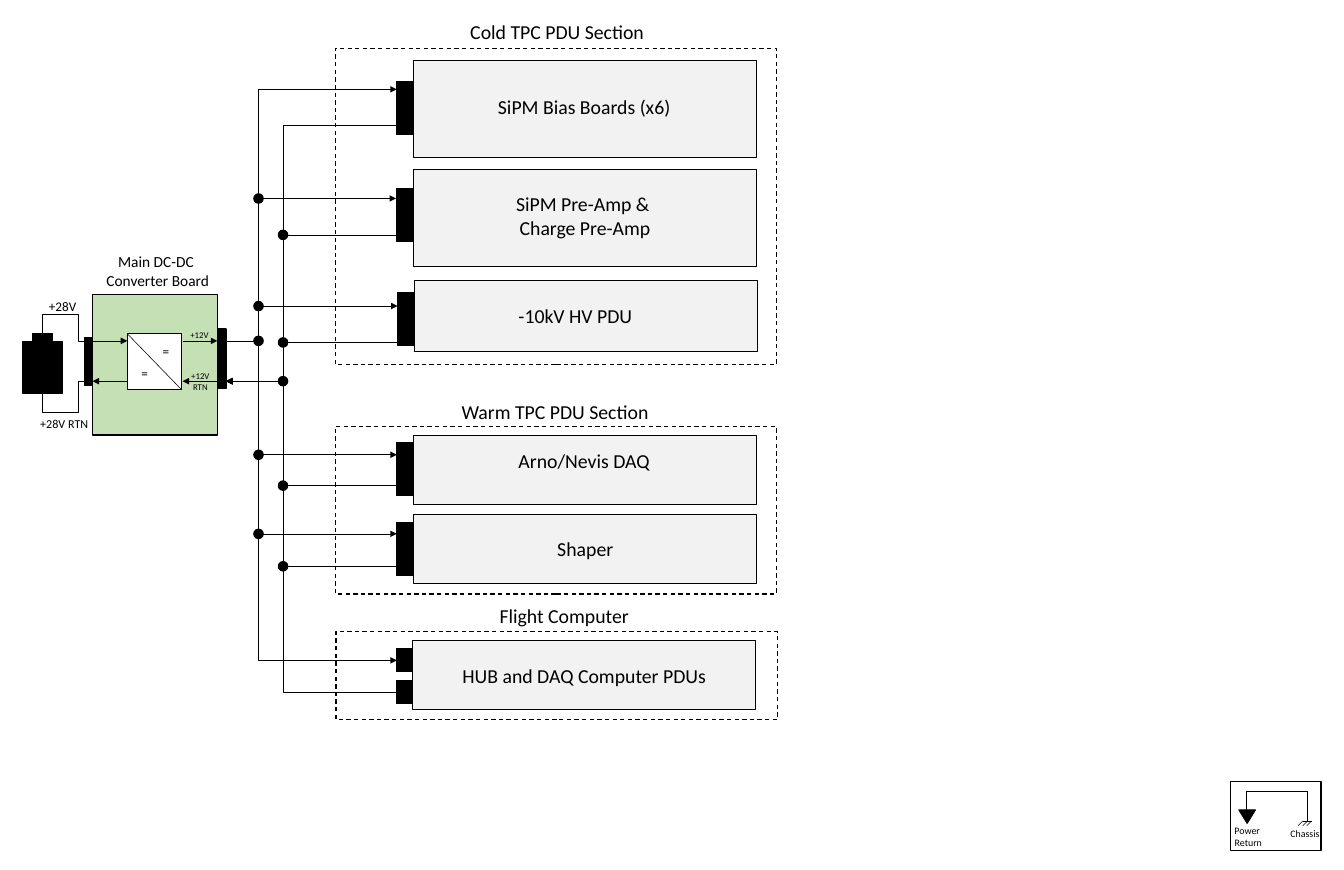
from dataclasses import dataclass
from typing import NamedTuple

from lxml import etree
from pptx import Presentation
from pptx import util as u
from pptx.dml.color import RGBColor
from pptx.enum import dml, shapes, text
from pptx.oxml.ns import qn

PX = 9144  # EMU per px, 100 px to the inch
RECT = shapes.MSO_SHAPE.RECTANGLE
SUPPLY_BUS, RETURN_BUS = 327, 358
SUPPLY_Y, RETURN_Y = 431, 482
OUTPUT_X = 286
DOT = 12


@dataclass(frozen=True)
class Theme:
    font: str = "Calibri"
    ink: str = "000000"
    block: str = "F2F2F2"
    board: str = "C5E0B4"
    paper: str = "FFFFFF"
    heading: int = 18
    title: int = 14
    terminal: int = 12
    terminal_return: int = 11
    legend: int = 9
    rail: int = 8
    outline: float = 1
    wire: float = 0.5


class Point(NamedTuple):
    x: int
    y: int


class Box(NamedTuple):
    left: int
    top: int
    width: int
    height: int


class Label(NamedTuple):
    words: str
    box: Box
    size: int
    centred: bool = False
    wrap: bool = False


class Section(NamedTuple):
    frame: Box
    heading: Label


class Load(NamedTuple):
    block: Box
    plugs: tuple[Box, ...]
    supply_y: int
    return_y: int
    label: Label
    junction: bool = True


THEME = Theme()

SECTIONS = (
    Section(Box(424, 61, 558, 400),
            Label("Cold TPC PDU Section", Box(585, 20, 243, 40), THEME.heading)),
    Section(Box(424, 539, 558, 212),
            Label("Warm TPC PDU Section", Box(574, 500, 265, 40), THEME.heading, wrap=True)),
    Section(Box(425, 798, 558, 112),
            Label("Flight Computer", Box(622, 758, 191, 40), THEME.heading, wrap=True)),
)

LOADS = (
    Load(Box(523, 76, 434, 123), (Box(502, 103, 21, 67),), 113, 158,
         Label("SiPM Bias Boards (x6)", Box(620, 115, 241, 40), THEME.heading), junction=False),
    Load(Box(523, 214, 434, 123), (Box(501, 238, 21, 67),), 251, 297,
         Label("SiPM Pre-Amp & \vCharge Pre-Amp", Box(642, 238, 196, 71), THEME.heading, True)),
    Load(Box(524, 355, 434, 90), (Box(503, 370, 21, 67),), 387, 433,
         Label("-10kV HV PDU", Box(646, 379, 166, 40), THEME.heading)),
    Load(Box(523, 551, 434, 87), (Box(502, 560, 21, 67),), 575, 614,
         Label("Arno/Nevis DAQ", Box(646, 563, 190, 40), THEME.heading)),
    Load(Box(523, 651, 434, 87), (Box(502, 661, 21, 67),), 675, 716,
         Label("Shaper", Box(695, 674, 92, 40), THEME.heading)),
    Load(Box(522, 810, 434, 87), (Box(502, 820, 20, 29), Box(502, 860, 20, 29)), 835, 875,
         Label("HUB and DAQ Computer PDUs", Box(575, 834, 332, 40), THEME.heading), junction=False),
)

CONVERTER_LABELS = (
    Label("Main DC-DC \nConverter Board", Box(124, 314, 151, 57), THEME.title, True),
    Label("+28V", Box(52, 372, 55, 30), THEME.terminal),
    Label("+28V RTN", Box(41, 521, 82, 29), THEME.terminal_return),
    Label("=", Box(169, 457, 29, 30), THEME.terminal),
    Label("=", Box(196, 429, 29, 30), THEME.terminal),
    Label("+12V", Box(231, 412, 43, 24), THEME.rail),
    Label("+12V\vRTN", Box(232, 464, 43, 37), THEME.rail, True),
)

LEGEND_LABELS = (
    Label("Power \nReturn", Box(1551, 1038, 56, 40), THEME.legend, True),
    Label("Chassis", Box(1622, 1042, 57, 25), THEME.legend, True),
)


def colour(value: str) -> RGBColor:
    return RGBColor.from_string(value)


def add_outline(slide, box: Box, fill: str | None = THEME.ink, kind=RECT, dashed: bool = False):
    shape = slide.shapes.add_shape(kind, *(n * PX for n in box))
    shape.shadow.inherit = False
    if fill is None:
        shape.fill.background()
    else:
        shape.fill.solid()
        shape.fill.fore_color.rgb = colour(fill)
    shape.line.color.rgb = colour(THEME.ink)
    shape.line.width = u.Pt(THEME.outline)
    if dashed:
        shape.line.dash_style = dml.MSO_LINE.DASH
    return shape


def add_label(slide, label: Label) -> None:
    frame = slide.shapes.add_textbox(*(n * PX for n in label.box)).text_frame
    frame.text = label.words
    frame.word_wrap = label.wrap
    frame.auto_size = text.MSO_AUTO_SIZE.SHAPE_TO_FIT_TEXT
    for paragraph in frame.paragraphs:
        paragraph.alignment = text.PP_ALIGN.CENTER if label.centred else text.PP_ALIGN.LEFT
        paragraph.font.name = THEME.font
        paragraph.font.size = u.Pt(label.size)
        paragraph.font.color.rgb = colour(THEME.ink)


def add_wire(slide, start: Point, end: Point, arrow: bool = False,
             bends: tuple[float, ...] = (), turn: int = 0) -> None:
    """Draw a wire; bends are fractions of its extent, turn is its rotation in degrees."""
    kind = shapes.MSO_CONNECTOR.ELBOW if bends else shapes.MSO_CONNECTOR.STRAIGHT
    wire = slide.shapes.add_connector(kind, *(n * PX for n in (*start, *end)))
    wire.line.color.rgb = colour(THEME.ink)
    wire.line.width = u.Pt(THEME.wire)
    properties = wire.element.spPr
    if arrow:
        etree.SubElement(properties.find(qn("a:ln")), qn("a:tailEnd"), type="triangle")
    etree.SubElement(properties, qn("a:effectLst"))
    if turn:
        properties.find(qn("a:xfrm")).set("rot", str(turn * 60000))
    if bends:
        geometry = properties.find(qn("a:prstGeom"))
        geometry.set("prst", f"bentConnector{len(bends) + 2}")
        guides = geometry.find(qn("a:avLst"))
        for number, bend in enumerate(bends, 1):
            etree.SubElement(guides, qn("a:gd"), name=f"adj{number}",
                             fmla=f"val {round(bend * 100000)}")


def add_bus_wire(slide, start: Point, end: Point, bus_x: int) -> None:
    add_wire(slide, start, end, True, ((bus_x - start.x) / (end.x - start.x),))


def add_junction(slide, x: int, y: int) -> None:
    add_outline(slide, Box(x - DOT // 2, y - DOT // 2, DOT, DOT), kind=shapes.MSO_SHAPE.OVAL)


def draw_converter(slide) -> None:
    for battery_part in (Box(28, 432, 51, 65), Box(41, 422, 25, 9)):
        add_outline(slide, battery_part)
    add_outline(slide, Box(117, 372, 158, 178), THEME.board)
    add_outline(slide, Box(161, 422, 69, 71), THEME.paper)
    add_wire(slide, Point(161, 422), Point(230, 493))
    add_wire(slide, Point(90, 395), Point(81, 458), bends=(-2.77, 0.72), turn=270)
    add_wire(slide, Point(92, 521), Point(78, 458), bends=(-1.76, 0.73), turn=90)
    for left, right in ((117, 161), (231, 275)):
        add_wire(slide, Point(left, SUPPLY_Y), Point(right, SUPPLY_Y), True)
        add_wire(slide, Point(right, RETURN_Y), Point(left, RETURN_Y), True)
    for plug in (Box(107, 427, 10, 61), Box(276, 416, 10, 75)):
        add_outline(slide, plug)
    for label in CONVERTER_LABELS:
        add_label(slide, label)


def draw_load(slide, load: Load) -> None:
    add_outline(slide, load.block, THEME.block)
    add_label(slide, load.label)
    plug_x = load.plugs[0].left
    add_bus_wire(slide, Point(OUTPUT_X, SUPPLY_Y), Point(plug_x, load.supply_y), SUPPLY_BUS)
    add_bus_wire(slide, Point(plug_x, load.return_y), Point(OUTPUT_X, RETURN_Y), RETURN_BUS)
    for plug in load.plugs:
        add_outline(slide, plug)
    if load.junction:
        add_junction(slide, SUPPLY_BUS, load.supply_y)
        add_junction(slide, RETURN_BUS, load.return_y)


def draw_legend(slide) -> None:
    add_outline(slide, Box(1556, 988, 115, 87), None)
    add_outline(slide, Box(1567, 1024, 21, 17), kind=shapes.MSO_SHAPE.ISOSCELES_TRIANGLE).rotation = 180
    add_wire(slide, Point(1599, 1001), Point(1622, 1001))
    add_wire(slide, Point(1599, 1001), Point(1577, 1024), bends=(1,))
    add_wire(slide, Point(1622, 1001), Point(1654, 1024), bends=(1,))
    add_wire(slide, Point(1654, 1024), Point(1654, 1038))
    add_wire(slide, Point(1648, 1038), Point(1659, 1038))
    for x in (1648, 1654, 1659):
        add_wire(slide, Point(x, 1038), Point(x - 6, 1044))
    for label in LEGEND_LABELS:
        add_label(slide, label)


def main() -> None:
    deck = Presentation()
    deck.slide_width, deck.slide_height = 1700 * PX, 1100 * PX
    slide = deck.slides.add_slide(deck.slide_layouts[6])
    draw_converter(slide)
    draw_legend(slide)
    for section in SECTIONS:
        add_outline(slide, section.frame, None, dashed=True)
        add_label(slide, section.heading)
    for load in LOADS:
        draw_load(slide, load)
    add_junction(slide, SUPPLY_BUS, SUPPLY_Y)
    add_junction(slide, RETURN_BUS, RETURN_Y)
    deck.save("out.pptx")


if __name__ == "__main__":
    main()
